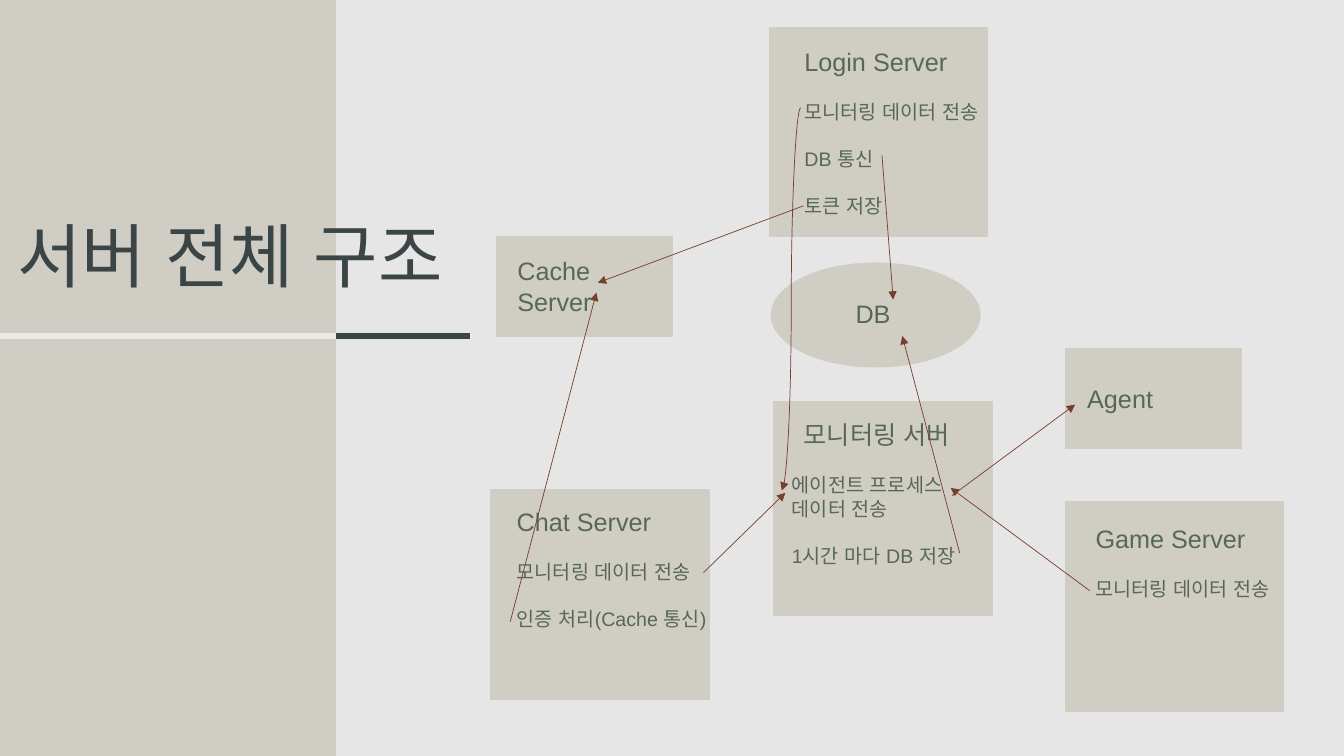
"""Build the slide that maps the servers, the database and the data flows between them."""
from lxml.etree import SubElement
from pptx import Presentation
from pptx.dml.color import RGBColor
from pptx.enum.lang import MSO_LANGUAGE_ID
from pptx.enum.shapes import MSO_CONNECTOR, MSO_SHAPE
from pptx.enum.text import MSO_ANCHOR, MSO_AUTO_SIZE, PP_ALIGN
from pptx.oxml.ns import qn
from pptx.util import Pt

THEME = {
    "font": "Arial",
    "back": RGBColor.from_string("E7E6E6"),
    "panel": RGBColor.from_string("D0CDC5"),
    "pale": RGBColor.from_string("EDE9E6"),
    "dark": RGBColor.from_string("3B4546"),
    "text": RGBColor.from_string("576853"),
    "arrow": RGBColor.from_string("753F2C"),
    "title_size": Pt(50),
    "head_size": Pt(18),
    "item_size": Pt(14),
}


def add_line(kind, x1, y1, x2, y2, color, width):
    ln = s.shapes.add_connector(kind, Pt(x1), Pt(y1), Pt(x2), Pt(y2))
    ln.line.color.rgb = color
    ln.line.width = Pt(width)
    SubElement(ln._element.spPr, qn("a:effectLst"))
    return ln


def style_run(r, size, color):
    r.font.size = THEME[size]
    r.font.color.rgb = THEME[color]
    r.font.name = THEME["font"]
    r.font.language_id = MSO_LANGUAGE_ID.KOREAN
    SubElement(r._r.get_or_add_rPr(), qn("a:ea"), typeface=THEME["font"])


prs = Presentation()
prs.slide_width, prs.slide_height = Pt(960), Pt(540)
s = prs.slides.add_slide(prs.slide_layouts[5])
s.background.fill.solid()
s.background.fill.fore_color.rgb = THEME["back"]

RECT, OVAL = MSO_SHAPE.RECTANGLE, MSO_SHAPE.OVAL
STRAIGHT, CURVE = MSO_CONNECTOR.STRAIGHT, MSO_CONNECTOR.CURVE
LARGE, SMALL = (156, 149.5), (125.5, 71.5)

nodes = [
    (RECT, (0, 0), (239.5, 540), None, 0, []),
    (RECT, (552.5, 287), (156.5, 152.5), (558.5, 296, 145.5, 131), 8.5,
     ["모니터링 서버", "에이전트 프로세스\v데이터 전송", "1시간 마다 DB 저장"]),
    (RECT, (549.5, 19.5), LARGE, (567.5, 29.5, 147, 148), 0,
     ["Login Server", "모니터링 데이터 전송", "DB 통신", "토큰 저장"]),
    (RECT, (350.5, 350), LARGE, (362, 358, 150.5, 97), 0,
     ["Chat Server", "모니터링 데이터 전송", "인증 처리(Cache 통신)"]),
    (OVAL, (551, 188), (149, 74), (604, 209.5, 110, 46), 0, ["DB"]),
    (RECT, (354.5, 169), SMALL, (362.5, 179, 109, 51), 0, ["Cache Server"]),
    (RECT, (761, 358.5), LARGE, (775.5, 370, 148, 80), 0,
     ["Game Server", "모니터링 데이터 전송"]),
    (RECT, (761, 249), SMALL, (769.5, 270, 109, 29), 0, ["Agent"]),
]
for kind, pos, size, box, indent, lines in nodes:
    sp = s.shapes.add_shape(kind, *map(Pt, pos + size))
    sp.shadow.inherit = False
    sp.fill.solid()
    sp.fill.fore_color.rgb = THEME["panel"]
    sp.line.color.rgb = THEME["panel"]
    sp.line.width = Pt(1)
    if not lines:
        continue
    tf = s.shapes.add_textbox(*map(Pt, box)).text_frame
    tf.word_wrap = True
    tf.text = "\n".join(lines)
    for i, p in enumerate(tf.paragraphs):
        p.space_before = Pt(16.75 if i else 0)
        for r in p.runs:
            style_run(r, "item_size" if i else "head_size", "text")
    if indent:
        tf.paragraphs[0]._p.get_or_add_pPr().set("marL", str(Pt(indent)))

add_line(STRAIGHT, 0, 240, 240, 240, THEME["pale"], 4.5)
add_line(STRAIGHT, 240, 240, 336, 240, THEME["dark"], 4.5)

title = s.shapes.title
title.left, title.top, title.width, title.height = Pt(5), Pt(160), Pt(511), Pt(73)
s.shapes._spTree.append(title._element)
tf = title.text_frame
tf.text = "서버 전체 구조"
tf.auto_size = MSO_AUTO_SIZE.NONE
tf.vertical_anchor = MSO_ANCHOR.TOP
p = tf.paragraphs[0]
p.alignment = PP_ALIGN.LEFT
p.line_spacing = 0.8
style_run(p.runs[0], "title_size", "dark")

flows = [
    (STRAIGHT, 502.5, 409, 561, 352),
    (STRAIGHT, 680, 354, 768, 289),
    (STRAIGHT, 685.5, 395, 644.5, 240),
    (STRAIGHT, 778.5, 422, 679, 348.5),
    (CURVE, 572, 77, 558.5, 350.5),
    (STRAIGHT, 630, 111, 638, 214),
    (STRAIGHT, 574, 147, 427, 202),
    (STRAIGHT, 364.5, 444, 426, 209),
]
for flow in flows:
    ln = add_line(*flow, THEME["arrow"], 0.5)
    SubElement(ln.line._get_or_add_ln(), qn("a:tailEnd"), type="triangle")

prs.save("out.pptx")
